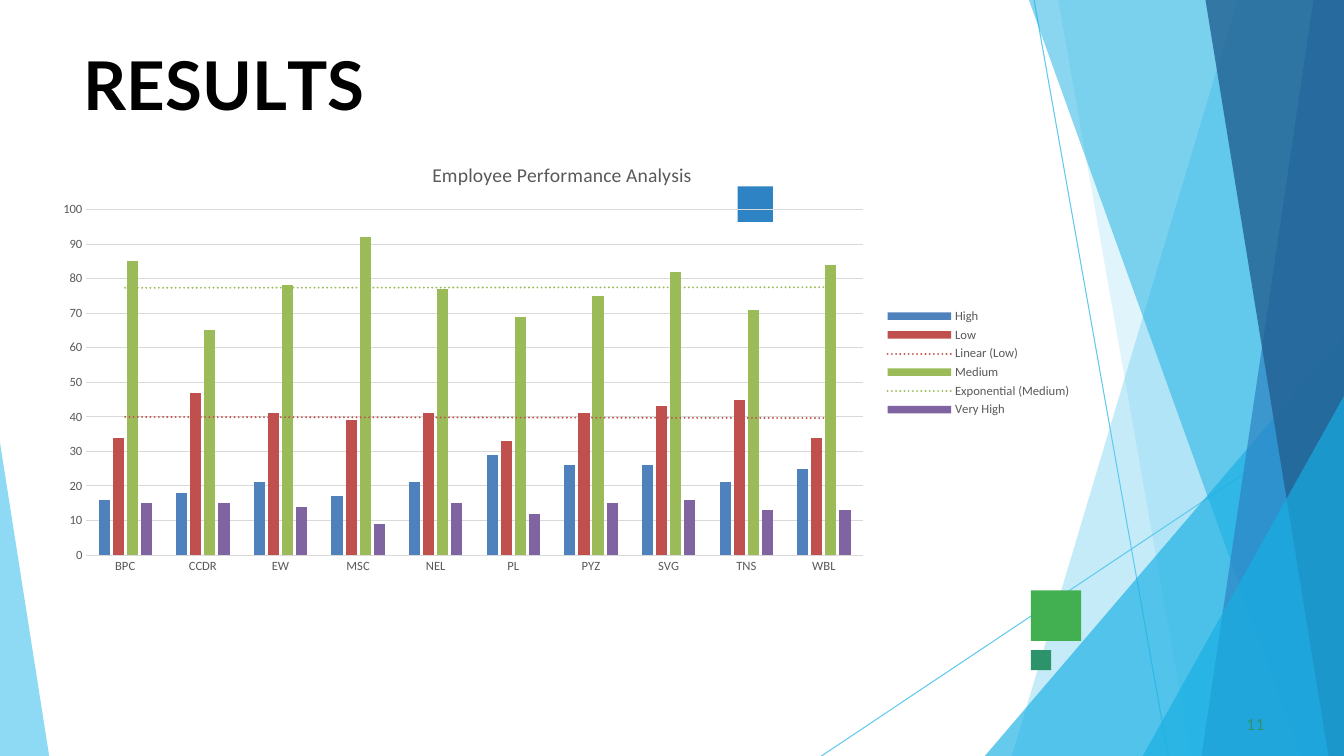
from dataclasses import dataclass
from typing import Any, Optional

from lxml.etree import SubElement
from pptx import Presentation
from pptx.chart.data import CategoryChartData as ChartData
from pptx.dml.color import RGBColor as Rgb
from pptx.enum.chart import XL_CHART_TYPE as ChartType
from pptx.enum.chart import XL_LEGEND_POSITION as LegendSide
from pptx.enum.chart import XL_TICK_MARK as Tick
from pptx.enum.shapes import MSO_CONNECTOR as Link
from pptx.enum.shapes import MSO_SHAPE as Preset
from pptx.enum.text import MSO_ANCHOR as Anchor
from pptx.enum.text import PP_ALIGN as Align
from pptx.oxml import parse_xml
from pptx.oxml.ns import nsdecls, qn
from pptx.util import Cm, Pt

WIDTH, HEIGHT = 33.87, 19.05
Point = tuple[float, float]


@dataclass(frozen=True)
class Theme:
    sky: str = "5FCAEE"
    cyan: str = "17AFE3"
    blue: str = "2D83C3"
    navy: str = "226192"
    green: str = "42AF51"
    teal: str = "2D936B"
    black: str = "000000"
    label: str = "595959"
    grid: str = "D9D9D9"
    text_font: str = "Lato"
    chart_font: str = "Calibri"
    title_size: float = 48
    page_size: float = 11
    chart_title_size: float = 14
    chart_size: float = 10
    axis_size: float = 9
    hairline: float = 0.75


@dataclass(frozen=True)
class Facet:
    corners: tuple[Point, ...]
    color: str
    opacity: int


@dataclass(frozen=True)
class Square:
    left: float
    top: float
    side: float
    color: str


@dataclass(frozen=True)
class Rating:
    name: str
    values: tuple[int, ...]
    color: str
    trend: Optional[str] = None


@dataclass(frozen=True)
class Letters:
    text: str
    spacing: int


THEME = Theme()
TOP_RIGHT, BOTTOM_RIGHT = (WIDTH, 0), (WIDTH, HEIGHT)

RAYS = (
    ((26.06, 0), (29.44, HEIGHT)),
    ((WIDTH, 10.26), (20.7, HEIGHT)),
)
FACETS = (
    Facet((TOP_RIGHT, (31.19, 0), (25.5, HEIGHT), BOTTOM_RIGHT), THEME.sky, 36),
    Facet((TOP_RIGHT, (26.67, 0), (30.02, HEIGHT), BOTTOM_RIGHT), THEME.sky, 20),
    Facet(((WIDTH, 8.46), (24.82, HEIGHT), BOTTOM_RIGHT), THEME.cyan, 66),
    Facet((TOP_RIGHT, (25.93, 0), (32.79, HEIGHT), BOTTOM_RIGHT), THEME.cyan, 50),
    Facet((TOP_RIGHT, (33.1, 0), (30.28, HEIGHT), BOTTOM_RIGHT), THEME.blue, 70),
    Facet((TOP_RIGHT, (30.38, 0), (33.48, HEIGHT), BOTTOM_RIGHT), THEME.navy, 80),
    Facet(((WIDTH, 9.98), (28.8, HEIGHT), BOTTOM_RIGHT), THEME.cyan, 66),
    Facet(((0, 11.15), (0, HEIGHT), (1.24, HEIGHT)), THEME.sky, 70),
)
SQUARES = (
    Square(25.98, 14.88, 1.27, THEME.green),
    Square(18.59, 4.7, 0.89, THEME.blue),
    Square(25.98, 16.38, 0.51, THEME.teal),
)
TITLE = (Letters("R", 0), Letters("E", -40), Letters("S", 10),
         Letters("U", -30), Letters("L", -400), Letters("TS", 0))
UNITS = ("BPC", "CCDR", "EW", "MSC", "NEL", "PL", "PYZ", "SVG", "TNS", "WBL")
RATINGS = (
    Rating("High", (16, 18, 21, 17, 21, 29, 26, 26, 21, 25), "4F81BD"),
    Rating("Low", (34, 47, 41, 39, 41, 33, 41, 43, 45, 34), "C0504D", "linear"),
    Rating("Medium", (85, 65, 78, 92, 77, 69, 75, 82, 71, 84), "9BBB59", "exp"),
    Rating("Very High", (15, 15, 14, 9, 15, 12, 15, 16, 13, 13), "8064A2"),
)


def set_format(target: Any, values: dict[str, Any]) -> None:
    for name, value in values.items():
        setattr(target, name, value)


def set_font(font: Any, family: str, size: float, color: str, bold: bool = False) -> None:
    set_format(font, {"name": family, "size": Pt(size), "bold": bold})
    font.color.rgb = Rgb.from_string(color)


def set_line(line: Any, color: str) -> None:
    line.color.rgb = Rgb.from_string(color)
    line.width = Pt(THEME.hairline)


def paint(shape: Any, color: str) -> None:
    shape.shadow.inherit = False
    shape.fill.solid()
    shape.fill.fore_color.rgb = Rgb.from_string(color)
    shape.line.fill.background()


def draw_ray(page: Any, start: Point, end: Point) -> None:
    ray = page.shapes.add_connector(Link.STRAIGHT, *map(Cm, start + end))
    set_line(ray.line, THEME.sky)
    SubElement(ray._element.spPr, qn("a:effectLst"))


def draw_facet(page: Any, facet: Facet) -> None:
    first, *others = [(Cm(x), Cm(y)) for x, y in facet.corners]
    builder = page.shapes.build_freeform(*first)
    builder.add_line_segments(others, close=True)
    shape = builder.convert_to_shape()
    paint(shape, facet.color)
    color = shape._element.spPr.find(qn("a:solidFill")).find(qn("a:srgbClr"))
    SubElement(color, qn("a:alpha"), val=str(facet.opacity * 1000))


def draw_square(page: Any, square: Square) -> None:
    place = (square.left, square.top, square.side, square.side)
    paint(page.shapes.add_shape(Preset.RECTANGLE, *map(Cm, place)), square.color)


def write_line(box: Any, letters: tuple[Letters, ...], size: float,
               color: str, bold: bool = False) -> None:
    set_format(box.text_frame, {
        "margin_left": 0, "margin_top": Cm(0.03), "margin_right": 0, "margin_bottom": 0,
        "vertical_anchor": Anchor.TOP, "word_wrap": True,
    })
    para = box.text_frame.paragraphs[0]
    set_format(para, {"alignment": Align.LEFT, "space_before": Pt(1)})
    for piece in letters:
        span = para.add_run()
        span.text = piece.text
        set_font(span.font, THEME.text_font, size, color, bold)
        span.font._element.set("spc", str(piece.spacing))


def add_trend(series: Any, rating: Rating) -> None:
    trend = parse_xml(
        f'<c:trendline {nsdecls("c", "a")}><c:spPr><a:ln w="{Pt(1.5)}" cap="rnd">'
        f'<a:solidFill><a:srgbClr val="{rating.color}"/></a:solidFill>'
        f'<a:prstDash val="sysDot"/></a:ln></c:spPr>'
        f'<c:trendlineType val="{rating.trend}"/><c:dispRSqr val="0"/>'
        f'<c:dispEq val="0"/></c:trendline>')
    series._element.find(qn("c:cat")).addprevious(trend)


def draw_chart(page: Any) -> None:
    data = ChartData()
    data.categories = UNITS
    for rating in RATINGS:
        data.add_series(rating.name, rating.values)
    place = map(Cm, (1.07, 3.61, 26.19, 11.07))
    chart = page.shapes.add_chart(ChartType.COLUMN_CLUSTERED, *place, data).chart
    set_font(chart.font, THEME.chart_font, THEME.chart_size, THEME.black)

    chart.has_title = True
    para = chart.chart_title.text_frame.paragraphs[0]
    span = para.add_run()
    span.text = "Employee Performance Analysis"
    set_font(span.font, THEME.chart_font, THEME.chart_title_size, THEME.label)

    chart.has_legend = True
    set_format(chart.legend, {"position": LegendSide.RIGHT, "include_in_layout": False})
    set_format(chart.value_axis, {"minimum_scale": 0, "maximum_scale": 100, "major_unit": 10})
    for axis in (chart.category_axis, chart.value_axis):
        set_format(axis, {"major_tick_mark": Tick.NONE, "minor_tick_mark": Tick.NONE})
    for part in (chart.category_axis.tick_labels, chart.value_axis.tick_labels, chart.legend):
        set_font(part.font, THEME.chart_font, THEME.axis_size, THEME.label)
    set_line(chart.category_axis.format.line, THEME.grid)
    set_line(chart.value_axis.major_gridlines.format.line, THEME.grid)
    chart.value_axis.format.line.fill.background()

    plot = chart.plots[0]
    set_format(plot, {"gap_width": 219, "overlap": -27, "vary_by_categories": False})
    for series, rating in zip(plot.series, RATINGS):
        series.format.fill.solid()
        series.format.fill.fore_color.rgb = Rgb.from_string(rating.color)
        if rating.trend:
            add_trend(series, rating)


def main() -> None:
    deck = Presentation()
    set_format(deck, {"slide_width": Cm(WIDTH), "slide_height": Cm(HEIGHT)})
    page = deck.slides.add_slide(deck.slide_layouts[5])
    for start, end in RAYS:
        draw_ray(page, start, end)
    for facet in FACETS:
        draw_facet(page, facet)
    for square in SQUARES:
        draw_square(page, square)

    title = page.shapes.title
    set_format(title, {"left": Cm(2.11), "top": Cm(1.07), "width": Cm(15.9), "height": Cm(6.71)})
    write_line(title, TITLE, THEME.title_size, THEME.black, bold=True)
    number = page.shapes.add_textbox(*map(Cm, (31.42, 17.98, 0.64, 0.53)))
    write_line(number, (Letters("11", 10),), THEME.page_size, THEME.teal)
    draw_chart(page)
    deck.save("out.pptx")


if __name__ == "__main__":
    main()
